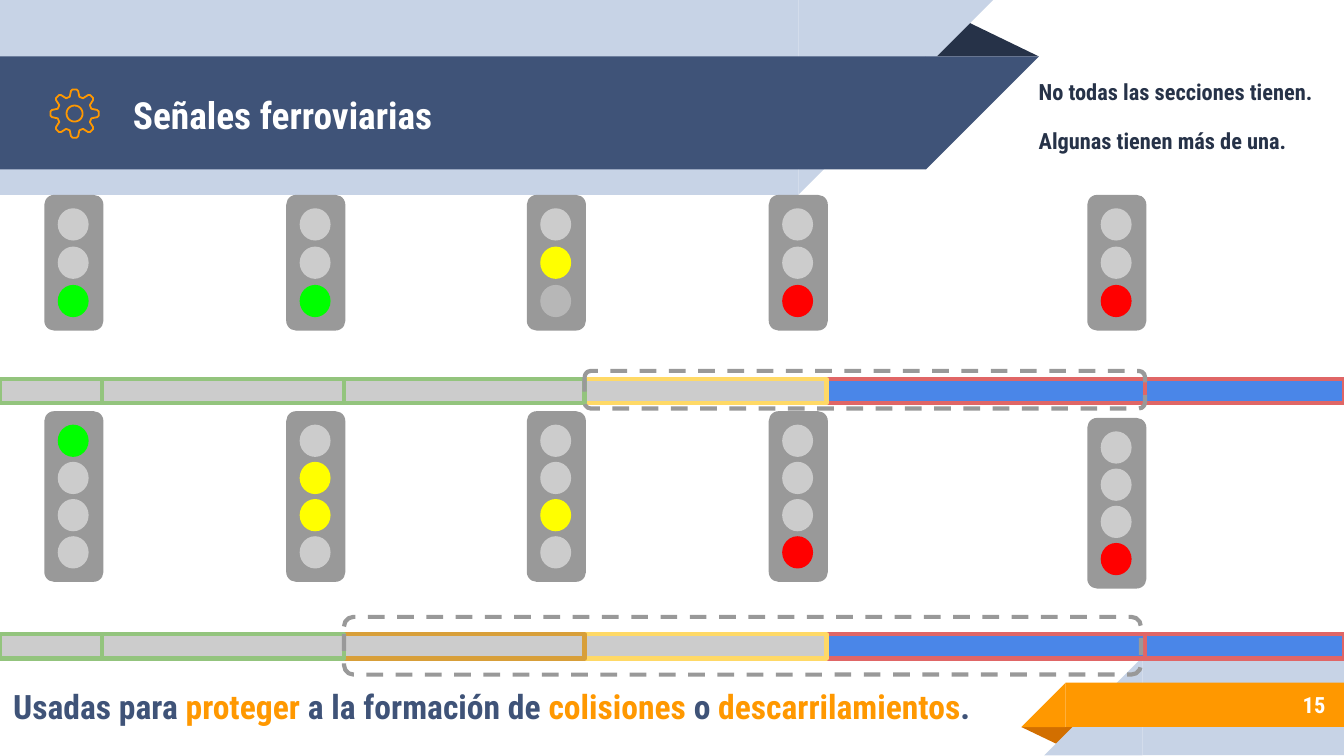
from itertools import pairwise
from math import cos, radians, sin

from pptx import Presentation
from pptx.dml.color import RGBColor
from pptx.enum import dml, shapes, text
from pptx.util import Inches, Pt

FONT = "Roboto Condensed"
WHITE = RGBColor(0xFF, 0xFF, 0xFF)
NAVY = RGBColor(0x26, 0x32, 0x48)
BLUE = RGBColor(0x3F, 0x53, 0x78)
PALE = RGBColor(0xC7, 0xD3, 0xE6)
ORANGE = RGBColor(0xFF, 0x98, 0x00)
DARK_ORANGE = RGBColor(0xD2, 0x6F, 0x00)
GREY = RGBColor(0x99, 0x99, 0x99)
LIGHT_GREY = RGBColor(0xCC, 0xCC, 0xCC)
OCCUPIED = RGBColor(0x4A, 0x86, 0xE8)
RED_EDGE = RGBColor(0xE0, 0x66, 0x66)
YELLOW_EDGE = RGBColor(0xFF, 0xD9, 0x66)
OCHRE_EDGE = RGBColor(0xD8, 0x9F, 0x39)
GREEN_EDGE = RGBColor(0x93, 0xC4, 0x7D)
LAMPS = {
    "-": LIGHT_GREY,
    "d": RGBColor(0xB7, 0xB7, 0xB7),
    "g": RGBColor(0x00, 0xFF, 0x00),
    "y": RGBColor(0xFF, 0xFF, 0x00),
    "r": RGBColor(0xFF, 0x00, 0x00),
}

SECTION_EDGES = [0, 0.76, 2.56, 4.35, 6.15, 8.52, 10]
TRACK_HEIGHT = 0.18
SIGNAL_WIDTH = 0.44
LAMP_WIDTH, LAMP_HEIGHT, LAMP_MARGIN = 0.23, 0.24, 0.1
# Radius in inches and angle in degrees along one tooth of the gear
TOOTH = [(0.13, -16), (0.17, -9), (0.18, -5), (0.18, 5), (0.17, 9), (0.13, 16)]


def paint(shape, fill=None, line=None, width=2.25):
    shape.shadow.inherit = False
    if fill is None:
        shape.fill.background()
    else:
        shape.fill.solid()
        shape.fill.fore_color.rgb = fill
    if line is None:
        shape.line.fill.background()
    else:
        shape.line.color.rgb = line
        shape.line.width = Pt(width)


def add_shape(slide, kind, box, fill=None, line=None, rotation=0):
    shape = slide.shapes.add_shape(kind, *map(Inches, box))
    shape.rotation = rotation
    paint(shape, fill, line)
    return shape


def add_text(slide, box, paragraphs, size, color, align=text.PP_ALIGN.LEFT,
             line_spacing=1.0, gap=0):
    """Each paragraph is a list of (words, color) runs; None keeps the paragraph color."""
    frame = slide.shapes.add_textbox(*map(Inches, box)).text_frame
    frame.word_wrap = True
    frame.vertical_anchor = text.MSO_ANCHOR.MIDDLE
    frame.margin_left = frame.margin_right = Inches(0.1)
    frame.margin_top = frame.margin_bottom = Inches(0.1)
    for index, runs in enumerate(paragraphs):
        paragraph = frame.add_paragraph() if index else frame.paragraphs[0]
        paragraph.alignment = align
        paragraph.line_spacing = line_spacing
        if index:
            paragraph.space_before = Pt(gap)
        paragraph.font.name = FONT
        paragraph.font.size = Pt(size)
        paragraph.font.bold = True
        paragraph.font.color.rgb = color
        for words, run_color in runs:
            run = paragraph.add_run()
            run.text = words
            if run_color is not None:
                run.font.color.rgb = run_color


def slanted_band(slide, left, top, width, height, color, slant_left=False):
    """A bar whose right (or left) end is cut at 45 degrees."""
    bar_left = left + height if slant_left else left
    end_left = left if slant_left else left + width - height
    add_shape(slide, shapes.MSO_SHAPE.RECTANGLE,
              (bar_left, top, width - height, height), color)
    add_shape(slide, shapes.MSO_SHAPE.RIGHT_TRIANGLE,
              (end_left, top, height, height), color,
              rotation=270 if slant_left else 90)


def fold(slide, box, color, rotation=0):
    triangle = add_shape(slide, shapes.MSO_SHAPE.ISOSCELES_TRIANGLE, box, color,
                         rotation=rotation)
    triangle.adjustments[0] = 0.32


def gear(slide, left, top, size):
    center_x, center_y = left + size / 2, top + size / 2

    def point(radius, angle):
        return (Inches(center_x + radius * cos(radians(angle))),
                Inches(center_y + radius * sin(radians(angle))))

    rim = [point(radius, angle + turn)
           for turn in range(0, 360, 45) for radius, angle in TOOTH]
    hub = [point(0.06, angle) for angle in range(0, 360, 15)]
    builder = slide.shapes.build_freeform(*rim[0])
    builder.add_line_segments(rim[1:], close=True)
    builder.move_to(*hub[0])
    builder.add_line_segments(hub[1:], close=True)
    paint(builder.convert_to_shape(), line=ORANGE, width=0.96)


def header(slide, left, top):
    fold(slide, (left + 6.88, top + 0.14, 0.85, 0.28), NAVY)
    slanted_band(slide, left, top, 7.39, 1.45, PALE)
    slanted_band(slide, left, top + 0.42, 7.73, 0.84, BLUE)
    gear(slide, left + 0.38, top + 0.67, 0.35)
    add_text(slide, (left + 0.89, top + 0.43, 6.01, 0.84),
             [[("Señales ferroviarias", None)]], 20, WHITE)
    add_text(slide, (left + 7.63, top + 0.38, 2.37, 0.94),
             [[("No todas las secciones tienen.", None)],
              [("Algunas tienen más de una.", None)]],
             12, NAVY, line_spacing=1.15, gap=10)


def footer(slide, left, top):
    fold(slide, (left + 7.6, top + 0.52, 0.43, 0.14), DARK_ORANGE, rotation=180)
    slanted_band(slide, left + 7.77, top, 2.23, 0.73, PALE, slant_left=True)
    slanted_band(slide, left + 7.6, top + 0.19, 2.4, 0.33, ORANGE, slant_left=True)
    add_text(slide, (left + 8.33, top + 0.18, 1.63, 0.35), [[("15", None)]],
             12, WHITE, align=text.PP_ALIGN.RIGHT)
    add_text(slide, (left, top + 0.04, 7.62, 0.6),
             [[("Usadas para ", None), ("proteger", ORANGE),
               (" a la formación de ", None), ("colisiones", ORANGE),
               (" o ", None), ("descarrilamientos", ORANGE), (".", None)]],
             18, BLUE, line_spacing=1.15)


def signal(slide, left, top, height, lamps):
    add_shape(slide, shapes.MSO_SHAPE.ROUNDED_RECTANGLE,
              (left, top, SIGNAL_WIDTH, height), GREY)
    pitch = (height - 2 * LAMP_MARGIN - LAMP_HEIGHT) / (len(lamps) - 1)
    for index, lamp in enumerate(lamps):
        add_shape(slide, shapes.MSO_SHAPE.OVAL,
                  (left + LAMP_MARGIN, top + LAMP_MARGIN + index * pitch,
                   LAMP_WIDTH, LAMP_HEIGHT), LAMPS[lamp])


def track(slide, top, edge_colors):
    """Sections are laid right to left, so each border covers its right neighbour's."""
    sections = list(zip(pairwise(SECTION_EDGES), edge_colors))
    for (start, end), edge in reversed(sections):
        fill = OCCUPIED if edge == RED_EDGE else LIGHT_GREY
        add_shape(slide, shapes.MSO_SHAPE.RECTANGLE,
                  (start, top, end - start, TRACK_HEIGHT), fill, edge)


def signalled_track(slide, signal_tops, signal_height, aspects, track_top,
                    edge_colors, protected_box):
    track(slide, track_top, edge_colors)
    for edge, top, lamps in zip(SECTION_EDGES[1:], signal_tops, aspects):
        signal(slide, edge - 0.43, top, signal_height, lamps)
    protected = add_shape(slide, shapes.MSO_SHAPE.ROUNDED_RECTANGLE,
                          protected_box, line=GREY)
    protected.line.dash_style = dml.MSO_LINE.DASH


def main():
    deck = Presentation()
    deck.slide_width = Inches(10)
    deck.slide_height = deck.slide_width * 9 // 16
    slide = deck.slides.add_slide(deck.slide_layouts[6])
    header(slide, 0, 0)
    footer(slide, 0, 4.89)
    signalled_track(
        slide, [1.45] * 5, 1.01, ["--g", "--g", "-yd", "--r", "--r"], 2.82,
        [GREEN_EDGE] * 3 + [YELLOW_EDGE] + [RED_EDGE] * 2, (4.35, 2.76, 4.17, 0.28))
    signalled_track(
        slide, [3.06] * 4 + [3.11], 1.27, ["g---", "-yy-", "--y-", "---r", "---r"], 4.72,
        [GREEN_EDGE] * 2 + [OCHRE_EDGE, YELLOW_EDGE] + [RED_EDGE] * 2,
        (2.56, 4.59, 5.93, 0.43))
    deck.save("out.pptx")


if __name__ == "__main__":
    main()
